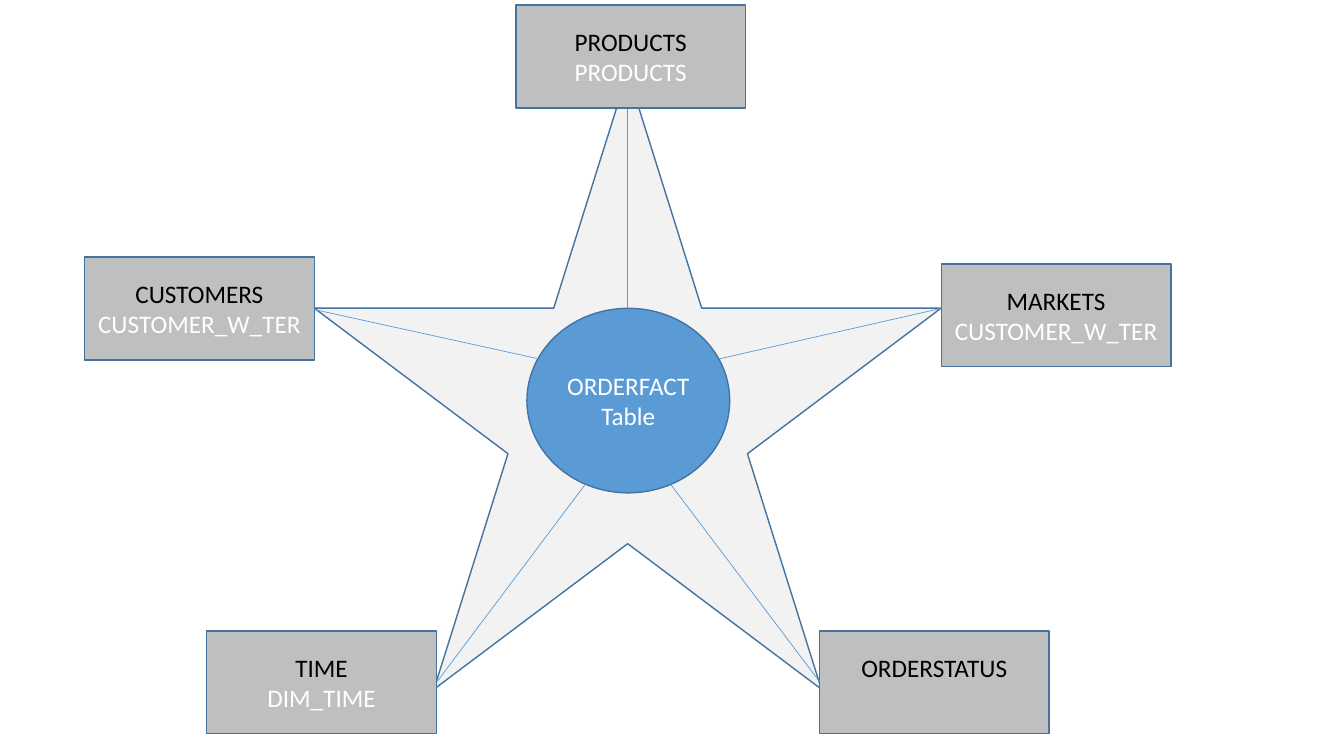
from dataclasses import dataclass

from lxml import etree
from pptx import Presentation
from pptx.dml.color import RGBColor
from pptx.enum.shapes import MSO_CONNECTOR, MSO_SHAPE
from pptx.enum.text import MSO_ANCHOR, PP_ALIGN
from pptx.oxml.ns import qn
from pptx.util import Cm, Pt

STAR, OVAL, RECT = MSO_SHAPE.STAR_5_POINT, MSO_SHAPE.OVAL, MSO_SHAPE.RECTANGLE
STRAIGHT = MSO_CONNECTOR.STRAIGHT
MIDDLE, CENTER = MSO_ANCHOR.MIDDLE, PP_ALIGN.CENTER
BLANK_LAYOUT = 6


@dataclass(frozen=True)
class Theme:
    font: str = "Calibri"
    size: float = 18
    outline_width: float = 1
    spoke_width: float = 0.5
    star: str = "F2F2F2"
    fact: str = "5B9BD5"
    dimension: str = "BFBFBF"
    outline: str = "43739E"
    dark: str = "000000"
    light: str = "FFFFFF"


class Diagram:
    def __init__(self, slide, theme):
        self.s, self.theme = slide, theme

    def shape(self, kind, x, y, w, h, fill):
        sp = self.s.shapes.add_shape(kind, Cm(x), Cm(y), Cm(w), Cm(h))
        sp.shadow.inherit = False
        sp.fill.solid()
        sp.fill.fore_color.rgb = RGBColor.from_string(fill)
        sp.line.color.rgb = RGBColor.from_string(self.theme.outline)
        sp.line.width = Pt(self.theme.outline_width)
        return sp

    def label(self, sp, lines):
        """Write (text, colour) pairs as the lines of one centred paragraph."""
        tf = sp.text_frame
        tf.word_wrap = True
        tf.vertical_anchor = MIDDLE
        p = tf.paragraphs[0]
        p.alignment = CENTER
        p.font.name, p.font.size = self.theme.font, Pt(self.theme.size)
        for i, (text, color) in enumerate(lines):
            if i:
                p.add_line_break()
            r = p.add_run()
            r.text = text
            r.font.color.rgb = RGBColor.from_string(color)

    def dimension(self, x, y, name, table):
        t = self.theme
        sp = self.shape(RECT, x, y, BOX_W, BOX_H, t.dimension)
        lines = [(name, t.dark)]
        if table:
            lines.append((table, t.light))
        else:
            # Keep the name on the upper line when no table is given
            sp.text_frame.margin_bottom = Cm(0.89)
        self.label(sp, lines)

    def spoke(self, x1, y1, x2, y2):
        c = self.s.shapes.add_connector(STRAIGHT, Cm(x1), Cm(y1), Cm(x2), Cm(y2))
        c.line.color.rgb = RGBColor.from_string(self.theme.fact)
        c.line.width = Pt(self.theme.spoke_width)
        etree.SubElement(c._element.spPr, qn("a:effectLst"))


BOX_W, BOX_H = 5.79, 2.59
# Name, table, box corner, spoke start on the fact table, spoke end at the box
DIMENSIONS = [
    ("MARKETS", "CUSTOMER_W_TER", (23.72, 6.65), (18.14, 9.04), (23.72, 7.77)),
    ("CUSTOMERS", "CUSTOMER_W_TER", (2.13, 6.48), (13.56, 9.04), (7.92, 7.8)),
    ("PRODUCTS", "PRODUCTS", (13.0, 0.13), (15.82, 7.77), (15.82, 2.74)),
    ("ORDERSTATUS", None, (20.65, 15.9), (16.89, 12.19), (20.65, 17.17)),
    ("TIME", "DIM_TIME", (5.21, 15.9), (14.76, 12.19), (11.02, 17.17)),
]

prs = Presentation()
prs.slide_width, prs.slide_height = Cm(33.87), Cm(19.05)
theme = Theme()
diagram = Diagram(prs.slides.add_slide(prs.slide_layouts[BLANK_LAYOUT]), theme)

# Star with the fact table at its centre
diagram.shape(STAR, 7.92, 1.83, 15.8, 15.54, theme.star)
fact = diagram.shape(OVAL, 13.28, 7.77, 5.11, 4.65, theme.fact)
diagram.label(fact, [("ORDERFACT", theme.light), ("Table", theme.light)])

# Dimensions at the star's points
for name, table, corner, start, end in DIMENSIONS:
    diagram.dimension(*corner, name, table)
    diagram.spoke(*start, *end)

prs.save("out.pptx")
